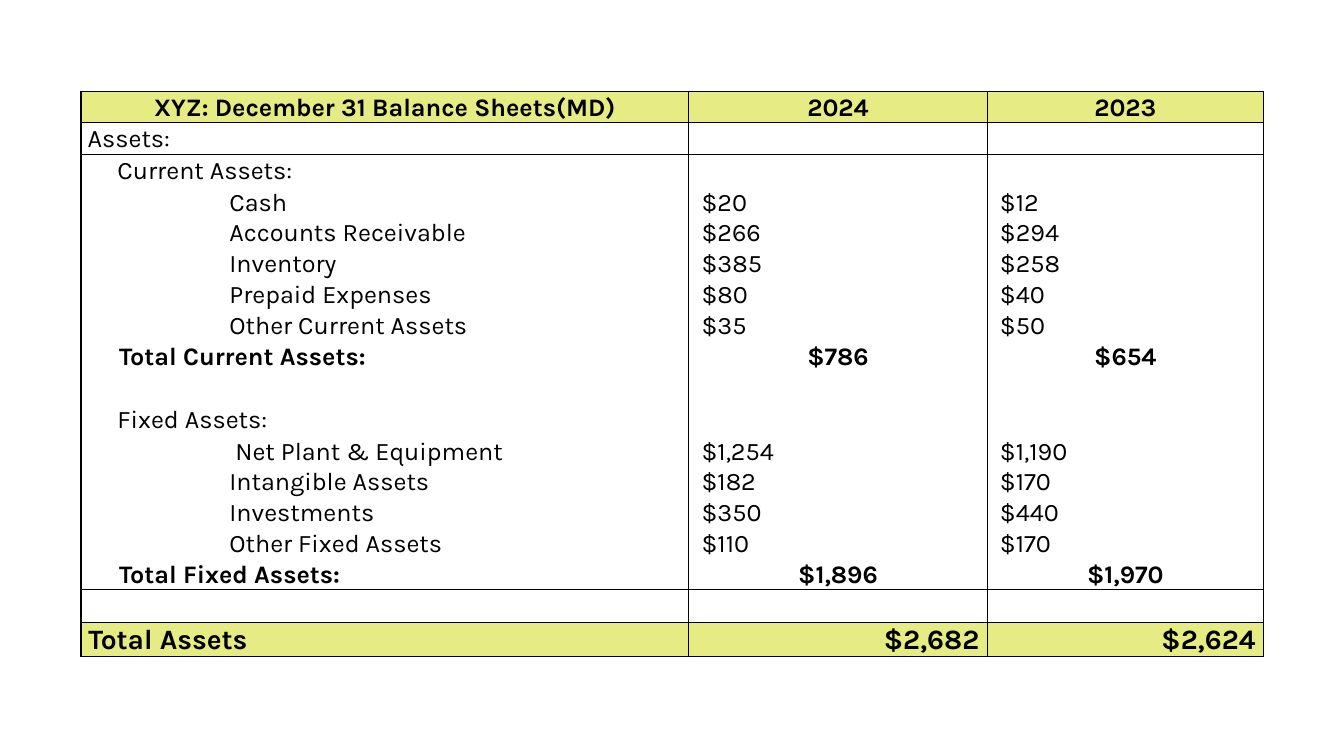
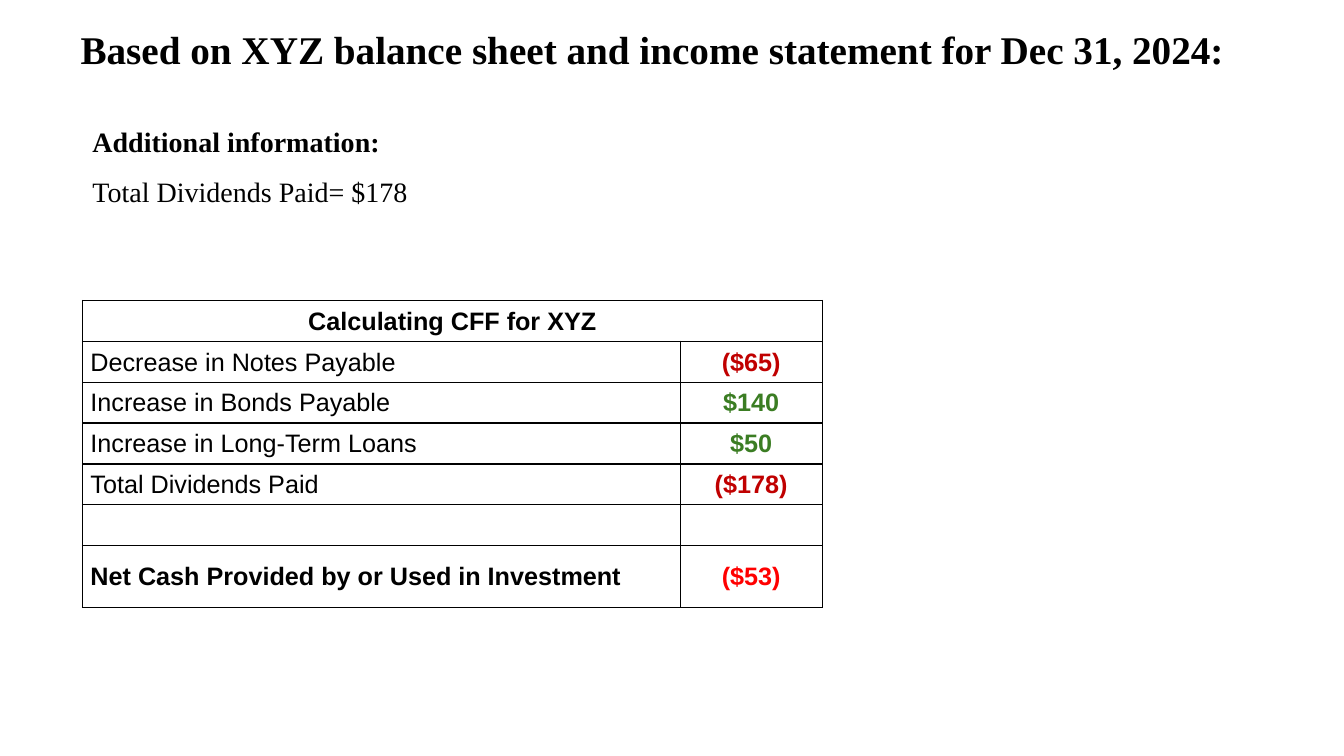
from collections import namedtuple

from lxml.etree import SubElement
from pptx import Presentation
from pptx.dml.color import RGBColor
from pptx.enum.text import MSO_ANCHOR, PP_ALIGN
from pptx.oxml.ns import qn
from pptx.util import Cm, Pt

# Shared colours, fonts and cell styles
BLACK, LIME = "000000", "E7EB83"
RED, GREEN, BRIGHT_RED = "C00000", "3B7D23", "FF0000"
TABLE_FONT, SUMMARY_FONT, TEXT_FONT = "Karla", "Arial", "Times New Roman"
PLAIN_TABLE_STYLE = "{2D5ABB26-0587-4C30-8999-92F81FD0307C}"
LEFT, CENTER, RIGHT = PP_ALIGN.LEFT, PP_ALIGN.CENTER, PP_ALIGN.RIGHT

CellStyle = namedtuple("CellStyle", "align indent bold size color fill",
                       defaults=(LEFT, 0.03, False, 18, BLACK, None))
header = CellStyle(CENTER, bold=True, fill=LIME)
heading = CellStyle(indent=0.17)
subheading = CellStyle(indent=0.92)
item = CellStyle(indent=3.74)
amount = CellStyle(indent=0.32)
subtotal_label = CellStyle(indent=0.96, bold=True)
subtotal = CellStyle(CENTER, bold=True)
total_label = CellStyle(indent=0.19, bold=True, size=20, fill=LIME)
total = CellStyle(RIGHT, 0.2, bold=True, size=20, fill=LIME)
blank = CellStyle()


def format_text(text_frame, font, size, color, bold):
    for paragraph in text_frame.paragraphs:
        for run in paragraph.runs:
            run.font.name = font
            run.font.size = Pt(size)
            run.font.bold = bold
            run.font.color.rgb = RGBColor.from_string(color)


def draw_table(slide, left, top, widths, rows, font, ruled_rows):
    """Each row is its height, then its texts, then the style of each text."""
    heights = [row[0] for row in rows]
    table_frame = slide.shapes.add_table(
        len(rows), len(widths), Cm(left), Cm(top), Cm(sum(widths)), Cm(sum(heights)))
    table = table_frame.table
    table.first_row = table.horz_banding = False
    table._tbl.tblPr.find(qn("a:tableStyleId")).text = PLAIN_TABLE_STYLE
    for column, width in zip(table.columns, widths):
        column.width = Cm(width)
    for row_index, (height, texts, styles) in enumerate(rows):
        table.rows[row_index].height = Cm(height)
        sides = ["a:lnL", "a:lnR"]
        if row_index in ruled_rows or row_index - 1 in ruled_rows:
            sides.append("a:lnT")
        if row_index in ruled_rows:
            sides.append("a:lnB")
        for column_index, (text, style) in enumerate(zip(texts, styles)):
            cell = table.cell(row_index, column_index)
            cell.vertical_anchor = MSO_ANCHOR.MIDDLE
            cell.margin_left = Cm(0.03 if style.align == RIGHT else style.indent)
            cell.margin_right = Cm(style.indent if style.align == RIGHT else 0.03)
            cell.margin_top, cell.margin_bottom = Cm(0.03), 0
            for side in sides:
                line = SubElement(cell._tc.get_or_add_tcPr(), qn(side), w=str(Pt(1)))
                line_fill = SubElement(line, qn("a:solidFill"))
                SubElement(line_fill, qn("a:srgbClr"), val=BLACK)
            if style.fill:
                cell.fill.solid()
                cell.fill.fore_color.rgb = RGBColor.from_string(style.fill)
            else:
                cell.fill.background()
            if text:
                cell.text_frame.text = text
                cell.text_frame.paragraphs[0].alignment = style.align
                format_text(cell.text_frame, font, style.size, style.color, style.bold)
    return table


presentation = Presentation()
presentation.slide_width, presentation.slide_height = Cm(33.87), Cm(19.05)
blank_layout = presentation.slide_layouts[6]

# Slide 1: balance sheet
slide = presentation.slides.add_slide(blank_layout)
empty = ("", "", "")
item_styles = (item, amount, amount)
subtotal_styles = (subtotal_label, subtotal, subtotal)
balance_rows = [
    (0.77, ("XYZ: December 31 Balance Sheets(MD)", "2024", "2023"), (header,) * 3),
    (0.81, ("Assets:", "", ""), (heading, blank, blank)),
    (0.81, ("Current Assets:", "", ""), (subheading, blank, blank)),
    (0.77, ("Cash", "$20", "$12"), item_styles),
    (0.77, ("Accounts Receivable", "$266", "$294"), item_styles),
    (0.77, ("Inventory", "$385", "$258"), item_styles),
    (0.77, ("Prepaid Expenses", "$80", "$40"), item_styles),
    (0.77, ("Other Current Assets", "$35", "$50"), item_styles),
    (0.77, ("Total Current Assets:", "$786", "$654"), subtotal_styles),
    (0.8, empty, (blank,) * 3),
    (0.81, ("Fixed Assets:", "", ""), (subheading, blank, blank)),
    (0.77, ("Net Plant & Equipment", "$1,254", "$1,190"),
     (item._replace(indent=3.89), amount, amount)),
    (0.77, ("Intangible Assets", "$182", "$170"), item_styles),
    (0.77, ("Investments", "$350", "$440"), item_styles),
    (0.77, ("Other Fixed Assets", "$110", "$170"), item_styles),
    (0.77, ("Total Fixed Assets:", "$1,896", "$1,970"), subtotal_styles),
    (0.83, empty, (blank,) * 3),
    (0.86, ("Total Assets", "$2,682", "$2,624"), (total_label, total, total)),
]
draw_table(slide, 2.04, 2.31, (15.32, 7.52, 6.96), balance_rows, TABLE_FONT, {0, 16, 17})

# Slide 2: title and additional information
slide = presentation.slides.add_slide(blank_layout)
text_boxes = [
    (1.78, 0.51, 30, 1.45, 28, 1, ["Based on XYZ balance sheet and income statement for Dec 31, 2024:"]),
    (2.08, 2.59, 10, 2.67, 20, 1.5, ["Additional information:", "Total Dividends Paid= $178"]),
]
for left, top, width, height, size, spacing, lines in text_boxes:
    text_box = slide.shapes.add_textbox(Cm(left), Cm(top), Cm(width), Cm(height))
    text_frame = text_box.text_frame
    text_frame.word_wrap = True
    text_frame.text = "\n".join(lines)
    format_text(text_frame, TEXT_FONT, size, BLACK, True)
    for paragraph in text_frame.paragraphs:
        paragraph.line_spacing = spacing
    for paragraph in text_frame.paragraphs[1:]:
        paragraph.runs[0].font.bold = False

# Slide 2: cash flow from financing
label = CellStyle(indent=0.2)
outflow, inflow = subtotal._replace(color=RED), subtotal._replace(color=GREEN)
financing_rows = [
    (1.03, ("Calculating CFF for XYZ", ""), (subtotal, blank)),
    (1.03, ("Decrease in Notes Payable", "($65)"), (label, outflow)),
    (1.03, ("Increase in Bonds Payable", "$140"), (label, inflow)),
    (1.03, ("Increase in Long-Term Loans", "$50"), (label, inflow)),
    (1.03, ("Total Dividends Paid", "($178)"), (label, outflow)),
    (1.03, ("", ""), (blank, blank)),
    (1.55, ("Net Cash Provided by or Used in Investment", "($53)"),
     (label._replace(bold=True), subtotal._replace(color=BRIGHT_RED))),
]
table = draw_table(slide, 2.08, 7.57, (15.06, 3.58), financing_rows, SUMMARY_FONT, range(7))
table.cell(0, 0).merge(table.cell(0, 1))

presentation.save("out.pptx")
